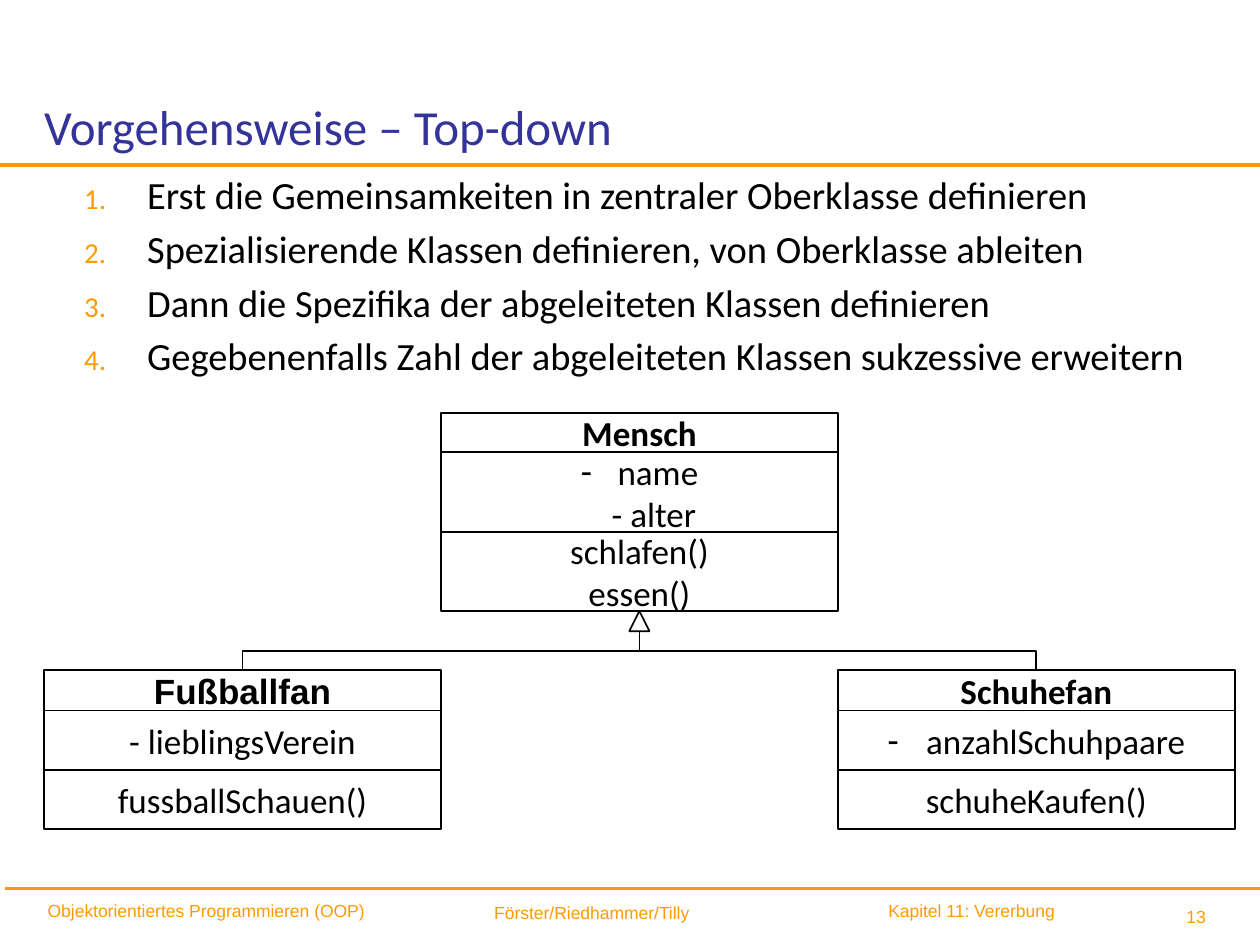
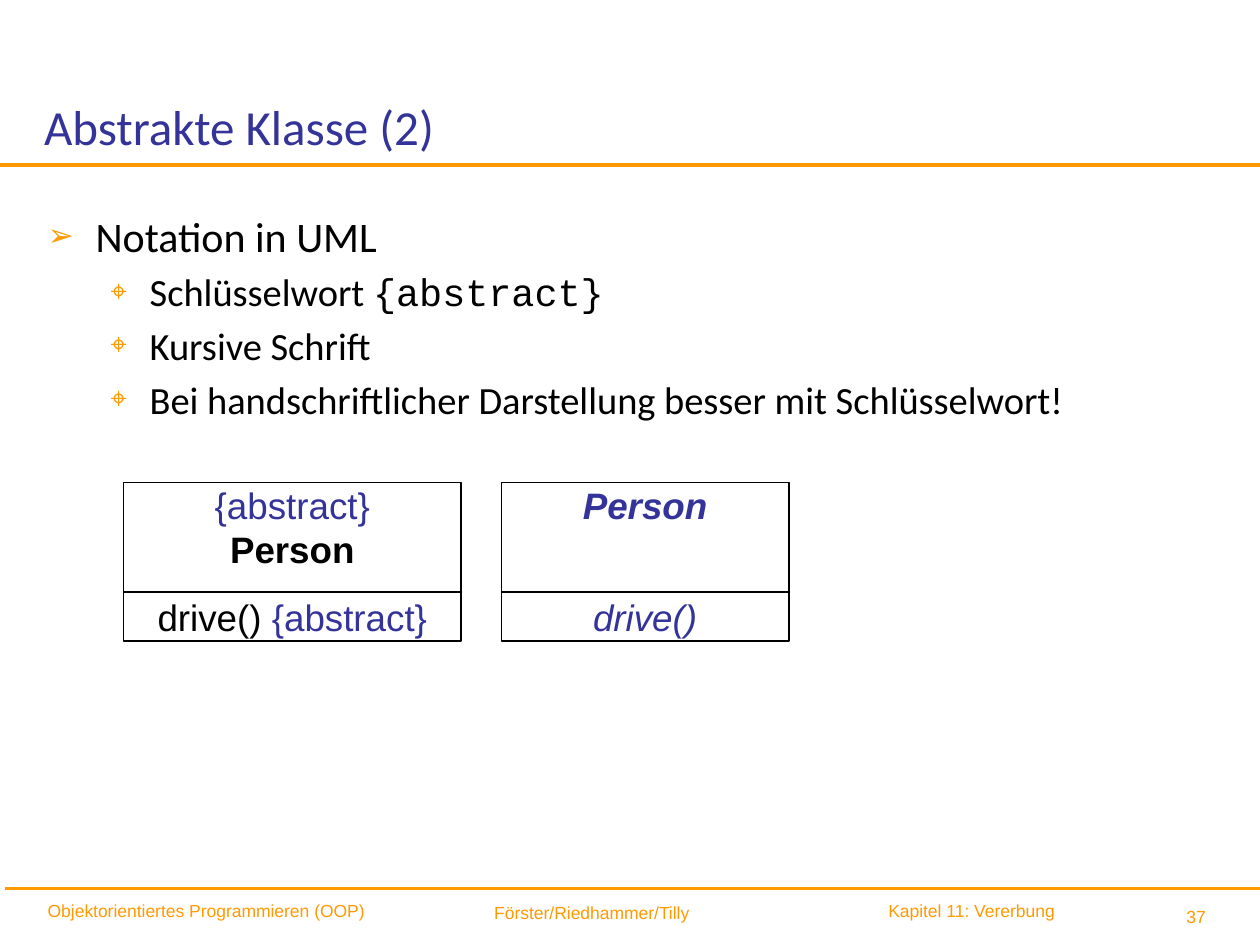
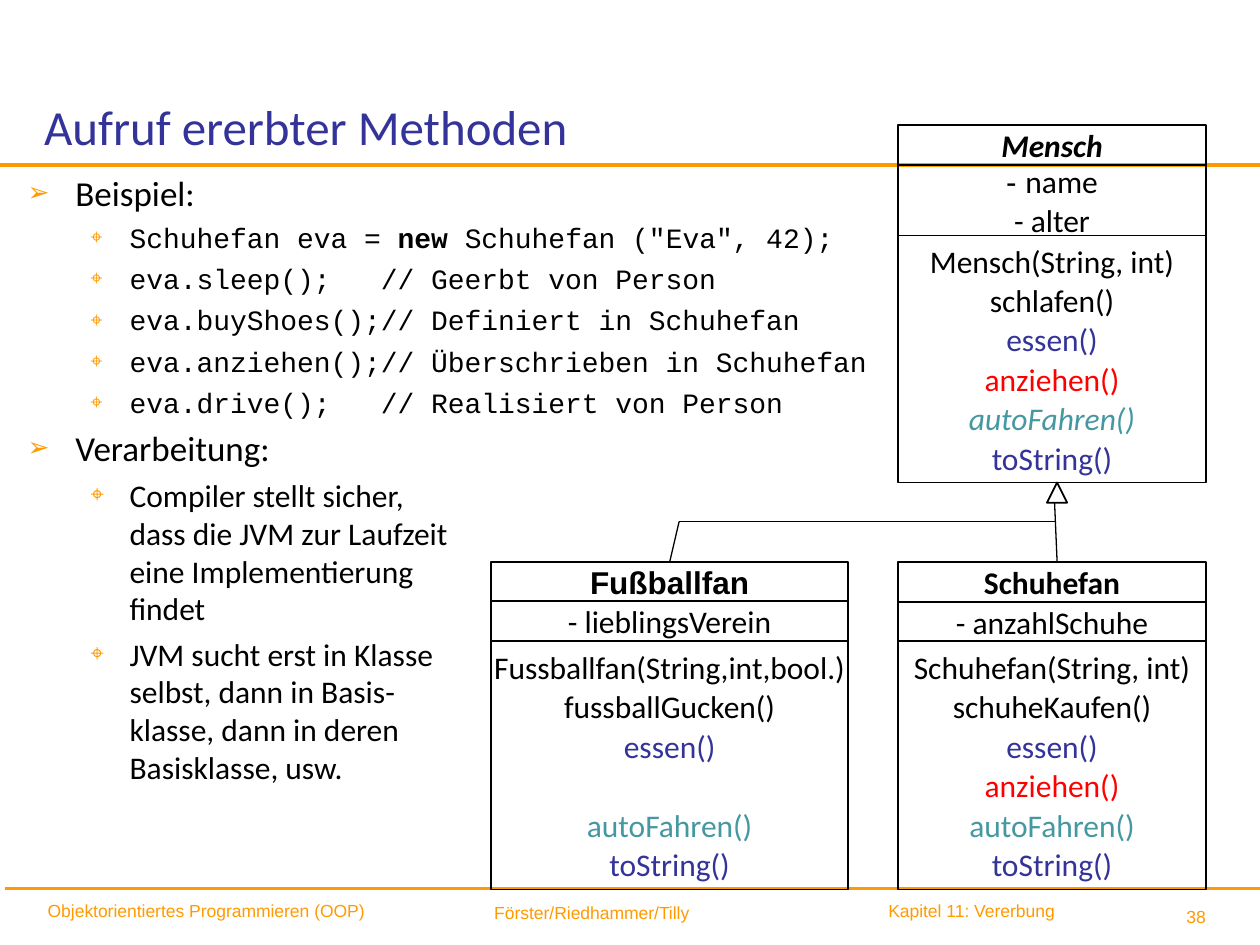
from lxml.etree import SubElement
from pptx import Presentation
from pptx.dml.color import RGBColor
from pptx.enum.shapes import MSO_CONNECTOR, MSO_SHAPE
from pptx.enum.text import MSO_ANCHOR, PP_ALIGN
from pptx.oxml.ns import qn
from pptx.util import Inches, Pt

COLORS = {
    "text": "000000",
    "accent": "333399",
    "rule": "FF9900",
    "marker": "FF9A00",
    "overridden": "FF0000",
    "realized": "4597A0",
}
SANS, HEADING, MONO = "Calibri", "Arial", "Courier New"
TOPIC = {"bullet": "➢", "margin": 0.38, "hanging": 0.38}
DETAIL = {"bullet": "⌖", "margin": 0.81, "hanging": 0.31}
STEP = {"bullet": "1.", "margin": 0.79, "hanging": 0.5, "size": 22}
ATTRIBUTE = {"bullet": "-", "margin": 0.23, "hanging": 0.23, "bullet_color": None}
ACCENT = {"color": "accent"}
OVERRIDDEN = {"color": "overridden"}
REALIZED = {"color": "realized"}
ARROW = 0.16


def add_bullet(paragraph, bullet, margin, hanging, color):
    """Give a paragraph a hanging bullet or number."""
    properties = paragraph._p.get_or_add_pPr()
    properties.set("marL", str(Inches(margin)))
    properties.set("indent", str(-Inches(hanging)))
    if color:
        tint = SubElement(properties, qn("a:buClr"))
        SubElement(tint, qn("a:srgbClr")).set("val", COLORS[color])
        SubElement(properties, qn("a:buSzPct")).set("val", "75000")
    if bullet == "1.":
        SubElement(properties, qn("a:buAutoNum")).set("type", "arabicPeriod")
    else:
        SubElement(properties, qn("a:buFont")).set("typeface", HEADING)
        SubElement(properties, qn("a:buChar")).set("char", bullet)


def write(frame, text, size=20, font=SANS, color="text", bold=False, italic=False,
          align=PP_ALIGN.LEFT, space=0, bullet=None, margin=0, hanging=0,
          bullet_color="marker"):
    """Write one paragraph, given as a string or as (text, format) pieces."""
    paragraph = frame.paragraphs[0]
    if paragraph.runs:
        paragraph = frame.add_paragraph()
        paragraph.space_before = Pt(space)
    if bullet:
        add_bullet(paragraph, bullet, margin, hanging, bullet_color)
    paragraph.alignment = align
    base = {"size": size, "font": font, "color": color, "bold": bold, "italic": italic}
    pieces = [(text, {})] if isinstance(text, str) else text
    for piece, changes in pieces:
        style = base | changes
        for number, line in enumerate(piece.split("\n")):
            if number:
                paragraph.add_line_break()
            run = paragraph.add_run()
            run.text = line
            run.font.size = Pt(style["size"])
            run.font.name = style["font"]
            run.font.bold = style["bold"]
            run.font.italic = style["italic"]
            run.font.color.rgb = RGBColor.from_string(COLORS[style["color"]])


def set_frame(frame, insets, anchor, wrap):
    """Set the margins, anchor and wrapping of a text frame."""
    frame.margin_left, frame.margin_top, frame.margin_right, frame.margin_bottom = map(Inches, insets)
    frame.vertical_anchor = anchor
    frame.word_wrap = wrap


def add_text(slide, box, lines, insets=(0.1, 0.05, 0.1, 0.05), anchor=MSO_ANCHOR.TOP, **style):
    """Add a text box with (text, format) lines."""
    frame = slide.shapes.add_textbox(*map(Inches, box)).text_frame
    set_frame(frame, insets, anchor, True)
    for text, changes in lines:
        write(frame, text, **(style | changes))


def add_outline(slide, kind, box):
    """Add an unfilled shape with a thin black outline."""
    outline = slide.shapes.add_shape(kind, *map(Inches, box))
    outline.shadow.inherit = False
    outline.fill.background()
    outline.line.color.rgb = RGBColor.from_string(COLORS["text"])
    outline.line.width = Pt(1)
    return outline


def add_class(slide, left, top, width, compartments, **style):
    """Stack (height, lines, anchor) compartments and return the name box."""
    boxes = []
    for height, lines, anchor in compartments:
        box = add_outline(slide, MSO_SHAPE.RECTANGLE, (left, top, width, height))
        set_frame(box.text_frame, (0, 0, 0, 0), anchor, False)
        for text, changes in lines:
            write(box.text_frame, text, **({"align": PP_ALIGN.CENTER} | style | changes))
        boxes.append(box)
        top += height
    return boxes[0]


def middle(height, *lines):
    """Describe a vertically centred compartment."""
    return height, [(line, {}) if isinstance(line, str) else line for line in lines], MSO_ANCHOR.MIDDLE


def add_line(slide, start, end, color="text", width=1.0, kind=MSO_CONNECTOR.STRAIGHT):
    """Add a connector without a shadow."""
    line = slide.shapes.add_connector(kind, *map(Inches, (*start, *end)))
    line.line.color.rgb = RGBColor.from_string(COLORS[color])
    line.line.width = Pt(width)
    SubElement(line._element.spPr, qn("a:effectLst"))
    return line


def add_upward_elbow(slide, start, end):
    """Add an elbow that leaves upwards, turns sideways, and arrives upwards."""
    rise, run = start[1] - end[1], abs(end[0] - start[0])
    center_x, center_y = (start[0] + end[0]) / 2, (start[1] + end[1]) / 2
    side = 1 if start[0] > end[0] else -1
    elbow = add_line(slide, (center_x + side * rise / 2, center_y - run / 2),
                     (center_x - side * rise / 2, center_y + run / 2), kind=MSO_CONNECTOR.ELBOW)
    turn = 90 if side > 0 else 270
    elbow._element.spPr.find(qn("a:xfrm")).set("rot", str(turn * 60000))


def add_inheritance_head(slide, x, y):
    """Add the hollow triangle whose tip is at the given point."""
    add_outline(slide, MSO_SHAPE.ISOSCELES_TRIANGLE, (x - ARROW / 2, y, ARROW, ARROW))


def add_page(deck, title, number):
    """Add a slide with its title, rules and footer."""
    slide = deck.slides.add_slide(deck.slide_layouts[6])
    footer = [
        ((6.56, 7.14, 3.17, 0.36), number, 0.1, 0.16, PP_ALIGN.RIGHT),
        ((3.44, 7.11, 2.07, 0.36), "Förster/Riedhammer/Tilly", 0.1, 0.04, PP_ALIGN.RIGHT),
        ((7.05, 7.09, 2.2, 0.36), "Kapitel 11: Vererbung", 0, 0.1, PP_ALIGN.LEFT),
        ((0.28, 7.09, 2.89, 0.36), "Objektorientiertes Programmieren (OOP)", 0.1, 0, PP_ALIGN.LEFT),
    ]
    for box, text, left, right, align in footer:
        add_text(slide, box, [(text, {})], (left, 0.05, right, 0.05),
                 size=10, font=HEADING, color="marker", align=align)
    add_line(slide, (0.04, 7.05), (10.04, 7.05), "rule", 2)
    add_line(slide, (0, 1.31), (10.04, 1.31), "rule", 2)
    add_text(slide, (0.35, 0.3, 5.91, 0.93), [(title, {})], (0, 0, 0, 0),
             MSO_ANCHOR.BOTTOM, size=28, color="accent")
    return slide


def add_body(slide, left, top, lines):
    """Add the main bulleted text."""
    add_text(slide, (left, top, 9.52, 5.43), lines, space=4.3)


def build_top_down(deck):
    """Build the slide on the top-down procedure."""
    slide = add_page(deck, "Vorgehensweise – Top-down", "13")
    steps = [
        "Erst die Gemeinsamkeiten in zentraler Oberklasse definieren",
        "Spezialisierende Klassen definieren, von Oberklasse ableiten",
        "Dann die Spezifika der abgeleiteten Klassen definieren",
        "Gegebenenfalls Zahl der abgeleiteten Klassen sukzessive erweitern",
    ]
    add_body(slide, 0.28, 1.31, [(step, STEP) for step in steps])
    width, parent_left, child_top, parent_bottom = 3.15, 3.5, 5.32, 4.85
    children = [
        (parent_left - width, ("Fußballfan", {"bold": True, "font": HEADING}),
         "- lieblingsVerein", "fussballSchauen()"),
        (parent_left + width, ("Schuhefan", {"bold": True}),
         ([(" ", {"font": HEADING}), ("anzahlSchuhpaare", {})], ATTRIBUTE), "schuheKaufen()"),
    ]
    for left, name, attribute, method in children:
        add_class(slide, left, child_top, width,
                  [middle(0.32, name), middle(0.47, attribute), middle(0.47, method)])
    add_class(slide, parent_left, 3.28, width, [
        middle(0.31, ("Mensch", {"bold": True})),
        middle(0.63, (" name\n- alter", ATTRIBUTE)),
        middle(0.63, "schlafen()\nessen()"),
    ])
    stem = parent_left + width / 2
    add_inheritance_head(slide, stem, parent_bottom)
    for left, *_ in children:
        add_upward_elbow(slide, (left + width / 2, child_top), (stem, parent_bottom + ARROW))


def build_abstract_class(deck):
    """Build the slide on the notation of abstract classes."""
    slide = add_page(deck, "Abstrakte Klasse (2)", "37")
    detail = DETAIL | {"size": 22}
    add_body(slide, 0.28, 1.62, [
        ("Notation in UML", TOPIC | {"size": 24}),
        ([("Schlüsselwort ", {}), ("{abstract}", {"font": MONO})], detail),
        ("Kursive Schrift", detail),
        ("Bei handschriftlicher Darstellung besser mit Schlüsselwort!", detail),
    ])
    italic = ACCENT | {"italic": True}
    variants = [
        (0.98, 2.68, [("{abstract}", ACCENT), ("Person", {"bold": True})],
         ([("drive() ", {}), ("{abstract}", ACCENT)], {})),
        (3.98, 2.28, [("Person", italic | {"bold": True})], ("drive()", italic)),
    ]
    for left, width, name, method in variants:
        add_class(slide, left, 3.83, width, [(0.87, name, MSO_ANCHOR.TOP), middle(0.39, method)],
                  size=21, font=HEADING)


def build_inherited_methods(deck):
    """Build the slide on calls of inherited methods."""
    slide = add_page(deck, "Aufruf ererbter Methoden", "38")
    code = DETAIL | {"size": 16, "font": MONO}
    calls = [
        [("Schuhefan eva = ", {}), ("new ", {"bold": True}), ("Schuhefan (\"Eva\", 42);", {})],
        "eva.sleep();   // Geerbt von Person",
        "eva.buyShoes();// Definiert in Schuhefan",
        "eva.anziehen();// Überschrieben in Schuhefan",
        "eva.drive();   // Realisiert von Person",
    ]
    rules = [
        "Compiler stellt sicher,\ndass die JVM zur Laufzeit\neine Implementierung\nfindet",
        "JVM sucht erst in Klasse\nselbst, dann in Basis-\nklasse, dann in deren\nBasisklasse, usw.",
    ]
    add_body(slide, 0.12, 1.31, [
        ("Beispiel:", TOPIC),
        *[(call, code) for call in calls],
        ("Verarbeitung:", TOPIC),
        *[(rule, DETAIL | {"size": 18}) for rule in rules],
    ])
    style = {"size": 18, "space": 0.9}
    eat, dress, show = ("essen()", ACCENT), ("anziehen()", OVERRIDDEN), ("toString()", ACCENT)
    drive = ("autoFahren()", REALIZED)
    add_class(slide, 7.13, 0.99, 2.44, [
        middle(0.32, ("Mensch", {"bold": True, "italic": True})),
        middle(0.56, ([("- ", {"font": HEADING}), ("name", {})], {}), "- alter"),
        middle(1.96, "Mensch(String, int)", "schlafen()", eat, dress,
               ("autoFahren()", REALIZED | {"italic": True}), show),
    ], **style)
    football = add_class(slide, 3.9, 4.46, 2.83, [
        middle(0.31, ("Fußballfan", {"bold": True, "font": HEADING})),
        middle(0.32, "- lieblingsVerein"),
        middle(1.97, "Fussballfan(String,int,bool.)", "fussballGucken()", eat,
               ("autoFahren()", REALIZED | {"space": 23.5}), show),
    ], **style)
    add_class(slide, 7.13, 4.46, 2.44, [
        middle(0.32, ("Schuhefan", {"bold": True})),
        middle(0.31, "- anzahlSchuhe"),
        middle(1.97, "Schuhefan(String, int)", "schuheKaufen()", eat, dress, drive, show),
    ], **style)
    add_inheritance_head(slide, 8.39, 3.83)
    branch = add_line(slide, (5.31, 4.46), (5.39, 4.14), width=0.75)
    branch.begin_connect(football, 0)
    add_line(slide, (8.39, 4.46), (8.37, 3.99), width=0.75)
    add_line(slide, (5.39, 4.14), (8.38, 4.14), width=0.75)


def main():
    """Build and save the three slides."""
    deck = Presentation()
    deck.slide_width, deck.slide_height = Inches(10), Inches(7.5)
    build_top_down(deck)
    build_abstract_class(deck)
    build_inherited_methods(deck)
    deck.save("out.pptx")


if __name__ == "__main__":
    main()
